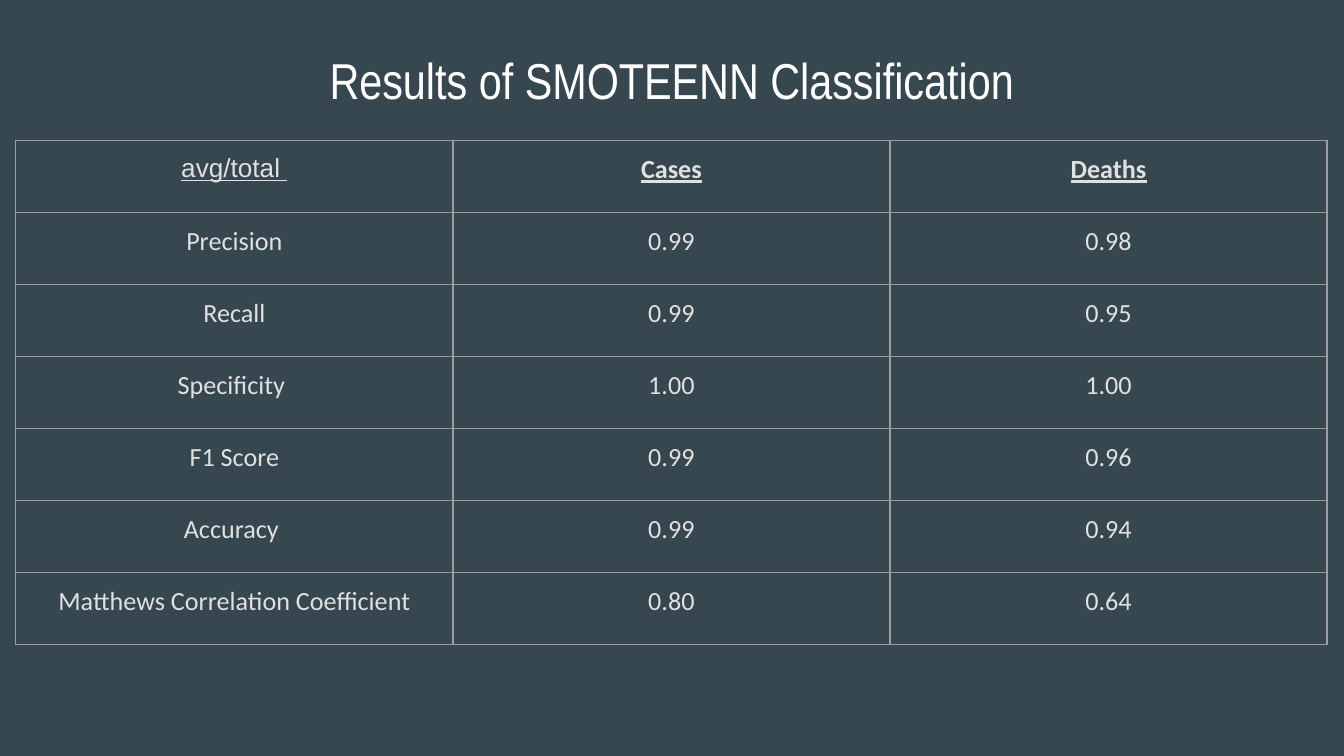
from lxml.etree import SubElement
from pptx import Presentation
from pptx.dml.color import RGBColor
from pptx.enum.text import MSO_ANCHOR, PP_ALIGN
from pptx.oxml.ns import qn
from pptx.util import Cm, Pt

BACKGROUND = "37474F"
WHITE = "FFFFFF"
TEXT = "E0E0E0"
BORDER = "9E9E9E"
INSET = Cm(0.25)

HEADINGS = ["avg/total ", "Cases", "Deaths"]
SCORES = [
    ("Precision", "0.99", "0.98"),
    ("Recall", "0.99", "0.95"),
    ("Specificity ", "1.00", "1.00"),
    ("F1 Score", "0.99", "0.96"),
    ("Accuracy ", "0.99", "0.94"),
    ("Matthews Correlation Coefficient", "0.80", "0.64"),
]


def color(value):
    """Turn a hex string into a colour."""
    return RGBColor.from_string(value)


class SlideBuilder:
    """Hold the style and the current slide, and add elements to it."""

    def __init__(self, page):
        """Start on a page with the background colour."""
        self.page = page
        fill = page.background.fill
        fill.solid()
        fill.fore_color.rgb = color(BACKGROUND)

    def add_text(self, frame, text, size, font, ink, bold=False, underline=False):
        """Add one centred run to a text frame."""
        frame.word_wrap = True
        para = frame.paragraphs[0]
        para.alignment = PP_ALIGN.CENTER
        span = para.add_run()
        span.text = text
        span.font.size = Pt(size)
        span.font.name = font
        span.font.color.rgb = color(ink)
        span.font.bold = bold
        span.font.underline = underline

    def title(self, text, left, top, width, height):
        """Add the slide title."""
        box = self.page.shapes.add_textbox(Cm(left), Cm(top), Cm(width), Cm(height))
        frame = box.text_frame
        frame.margin_left = frame.margin_right = INSET
        frame.margin_top = frame.margin_bottom = INSET
        frame.vertical_anchor = MSO_ANCHOR.MIDDLE
        self.add_text(frame, text, 27, "Arial Narrow", WHITE)

    def outline(self, cell):
        """Draw a thin border on all four sides of a cell."""
        properties = cell._tc.get_or_add_tcPr()
        for side in ("a:lnL", "a:lnR", "a:lnT", "a:lnB"):
            line = SubElement(properties, qn(side), w=str(Pt(0.75)))
            fill = SubElement(line, qn("a:solidFill"))
            SubElement(fill, qn("a:srgbClr"), val=BORDER)

    def table(self, rows, left, top, column_width, row_height):
        """Add a bordered table whose first row is underlined."""
        row_count, column_count = len(rows), len(rows[0])
        table = self.page.shapes.add_table(
            row_count, column_count, Cm(left), Cm(top),
            Cm(column_width * column_count), Cm(row_height * row_count),
        ).table
        table.first_row = table.horz_banding = False
        for column in table.columns:
            column.width = Cm(column_width)
        for r, values in enumerate(rows):
            table.rows[r].height = Cm(row_height)
            for c, value in enumerate(values):
                cell = table.cell(r, c)
                cell.margin_left = cell.margin_right = INSET
                cell.margin_top = cell.margin_bottom = INSET
                self.outline(cell)
                cell.fill.background()
                heading = r == 0
                font = "Arial" if heading and c == 0 else "Calibri"
                self.add_text(cell.text_frame, value, 14, font, TEXT,
                              bold=heading and c > 0, underline=heading)


def main():
    """Build and save the deck."""
    deck = Presentation()
    deck.slide_width, deck.slide_height = Cm(25.4), Cm(14.29)
    builder = SlideBuilder(deck.slides.add_slide(deck.slide_layouts[6]))
    builder.title("Results of SMOTEENN Classification ", 0.97, 0.71, 23.67, 1.6)
    builder.table([HEADINGS, *SCORES], 0.3, 2.66, 8.26, 1.36)
    deck.save("out.pptx")


if __name__ == "__main__":
    main()
